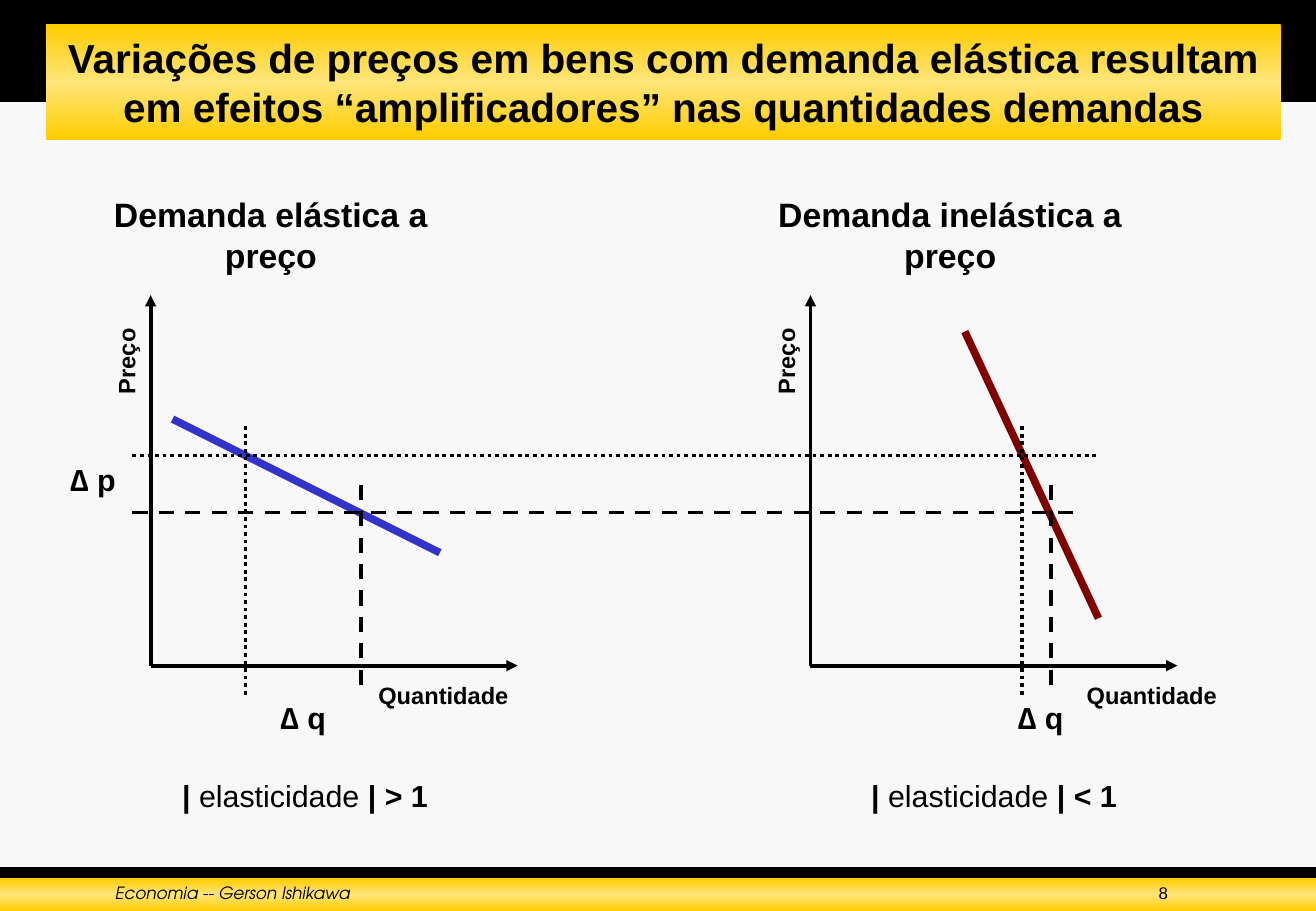
"""Build a slide comparing price-elastic and price-inelastic demand."""
from copy import deepcopy

from lxml import etree
from pptx import Presentation
from pptx import util as u
from pptx.dml.color import RGBColor
from pptx.enum import dml, shapes, text
from pptx.oxml.ns import qn

PX = 9144
WIDTH, HEIGHT = 1083, 750
BLACK = RGBColor(0x00, 0x00, 0x00)
PAPER = RGBColor(0xF8, 0xF8, 0xF8)
GOLD = RGBColor(0xFF, 0xCC, 0x00)
PALE_GOLD = RGBColor(0xFF, 0xE5, 0x79)
BLUE = RGBColor(0x33, 0x33, 0xCC)
MAROON = RGBColor(0x80, 0x00, 0x00)
DOTTED, DASHED = dml.MSO_LINE.ROUND_DOT, dml.MSO_LINE.DASH
CENTER, LEFT, RIGHT = text.PP_ALIGN.CENTER, text.PP_ALIGN.LEFT, text.PP_ALIGN.RIGHT
TITLE = ("Variações de preços em bens com demanda elástica resultam "
         "em efeitos “amplificadores” nas quantidades demandas")


def px(*lengths):
    """Turn lengths in px into EMU."""
    return [u.Emu(length * PX) for length in lengths]


def add_band(page, *place):
    """Add a plain black rectangle."""
    band = page.shapes.add_shape(shapes.MSO_SHAPE.RECTANGLE, *px(*place))
    band.shadow.inherit = False
    band.line.fill.background()
    band.fill.solid()
    band.fill.fore_color.rgb = BLACK
    return band


def add_gold_band(page, *place):
    """Add a rectangle shaded from gold to pale gold and back."""
    band = add_band(page, *place)
    band.fill.gradient()
    band.fill.gradient_angle = 90
    stop_list = band.fill._fill._gradFill.find(qn("a:gsLst"))
    stop_list.append(deepcopy(stop_list[0]))
    colors = (GOLD, PALE_GOLD, GOLD)
    for stop, position, color in zip(band.fill.gradient_stops, (0, 0.5, 1), colors):
        stop.position = position
        stop.color.rgb = color
    return band


def write(shape, words, size, bold=True, align=CENTER, font="Arial"):
    """Put one paragraph of black text in a shape."""
    shape.text_frame.word_wrap = True
    para = shape.text_frame.paragraphs[0]
    para.text = words
    para.alignment = align
    para.font.name, para.font.size, para.font.bold = font, u.Pt(size), bold
    para.font.color.rgb = BLACK
    return para


def add_label(page, place, words, size, **style):
    """Add a text box and return it with its paragraph."""
    box = page.shapes.add_textbox(*px(*place))
    return box, write(box, words, size, **style)


def add_line(page, start, end, color=BLACK, width=2.25, dash=None, arrow=False):
    """Add a straight line, dashed or with an arrowhead if asked."""
    line = page.shapes.add_connector(
        shapes.MSO_CONNECTOR.STRAIGHT, *px(*start, *end))
    line.line.color.rgb = color
    line.line.width = u.Pt(width)
    if dash:
        line.line.dash_style = dash
    if arrow:
        etree.SubElement(line.line._get_or_add_ln(), qn("a:tailEnd"), type="triangle")
    etree.SubElement(line._element.spPr, qn("a:effectLst"))


def add_elasticity(page, left, relation):
    """Add the elasticity condition with its middle word in regular weight."""
    _, para = add_label(page, (left, 635, 222, 40), "", 18)
    for words in ("| ", "elasticidade", f" | {relation} 1"):
        span = para.add_run()
        span.text = words
        span.font.bold = words != "elasticidade"


def add_axes(page, left, quantity_left):
    """Add the price and quantity axes with their names."""
    origin = (left, 548)
    for end in ((left, 243), (left + 302, 548)):
        add_line(page, origin, end, arrow=True)
    price, _ = add_label(page, (left - 68, 281, 95, 33), "Preço", 14)
    price.rotation = 270
    add_label(page, (quantity_left, 556, 136, 33), "Quantidade", 14)


def add_quantity_change(page, dotted_x, dashed_x, label_left):
    """Add the two quantity guides and the label of their difference."""
    add_line(page, (dotted_x, 351), (dotted_x, 572), dash=DOTTED)
    add_line(page, (dashed_x, 399), (dashed_x, 572), dash=DASHED)
    add_label(page, (label_left, 571, 63, 40), "∆ q", 18)


def add_frame(page):
    """Add the background, title, bands and footer."""
    page.background.fill.solid()
    page.background.fill.fore_color.rgb = PAPER
    add_band(page, 0, 0, WIDTH, 84)
    title = add_gold_band(page, 38, 20, 1016, 95)
    title.text_frame.vertical_anchor = text.MSO_ANCHOR.MIDDLE
    write(title, TITLE, 24)
    add_band(page, 0, 714, WIDTH, 36)
    add_gold_band(page, 0, 723, WIDTH, 27)
    _, author = add_label(page, (85, 722, 622, 28), "Economia -- Gerson Ishikawa", 10,
                          bold=False, align=LEFT, font="TeX Gyre Adventor")
    author.font.italic = True
    add_label(page, (857, 722, 114, 28), "8", 10, bold=False, align=RIGHT)


def main():
    """Build and save the slide."""
    deck = Presentation()
    deck.slide_width, deck.slide_height = px(WIDTH, HEIGHT)
    page = deck.slides.add_slide(deck.slide_layouts[6])
    add_frame(page)

    add_label(page, (81, 155, 284, 74), "Demanda elástica a preço", 20)
    add_axes(page, 124, 297)
    add_line(page, (142, 345), (362, 455), BLUE, 4.5)
    add_elasticity(page, 140, ">")

    add_label(page, (627, 155, 310, 74), "Demanda inelástica a preço", 20)
    add_axes(page, 667, 880)
    add_line(page, (794, 273), (904, 509), MAROON, 4.5)
    add_elasticity(page, 707, "<")

    add_line(page, (109, 375), (904, 375), dash=DOTTED)
    add_line(page, (109, 422), (888, 422), dash=DASHED)
    add_label(page, (45, 375, 63, 40), "∆ p", 18)
    add_quantity_change(page, 202, 297, 218)
    add_quantity_change(page, 841, 865, 825)
    deck.save("out.pptx")


if __name__ == "__main__":
    main()
